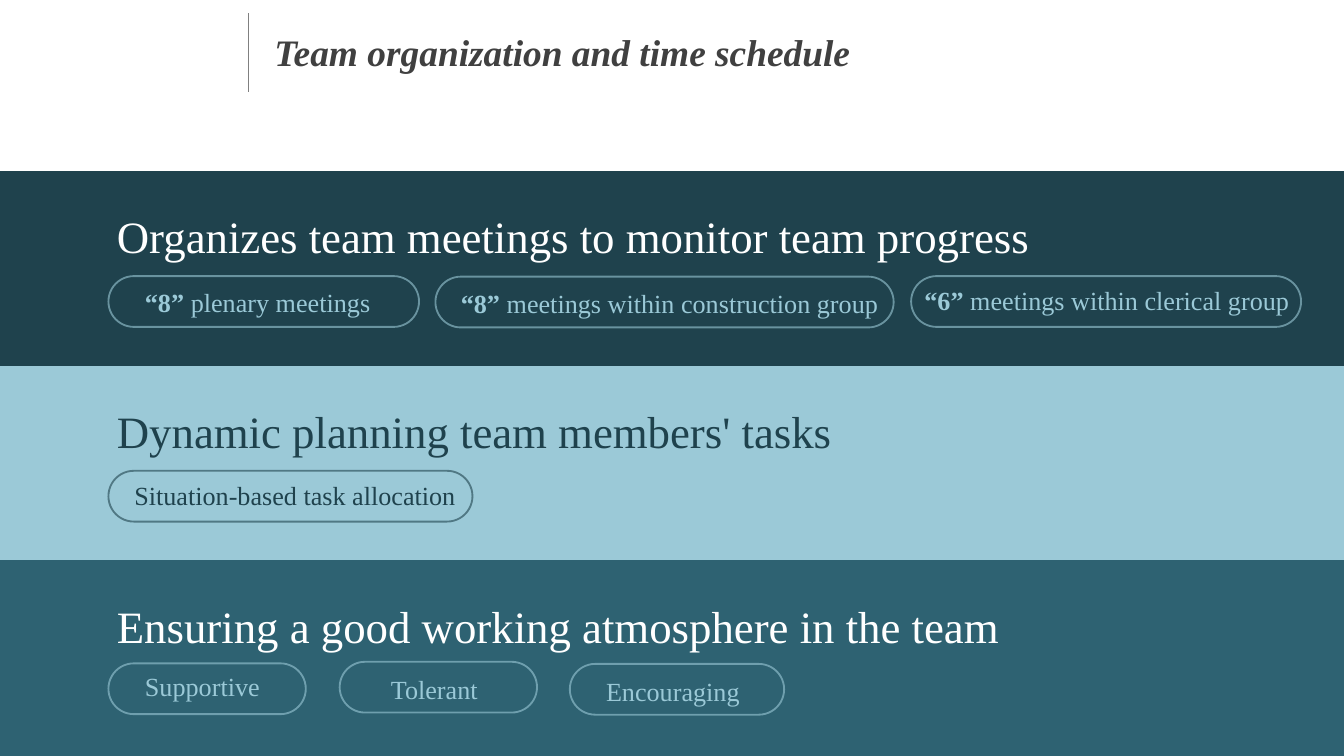
from lxml.etree import SubElement
from pptx import Presentation
from pptx.dml.color import RGBColor
from pptx.enum.shapes import MSO_CONNECTOR, MSO_SHAPE
from pptx.enum.text import MSO_ANCHOR, MSO_AUTO_SIZE, PP_ALIGN
from pptx.oxml.ns import qn
from pptx.util import Cm, Pt

COLORS = {
    "dark": "1F424D",
    "light": "9BC9D7",
    "medium": "2E6272",
    "white": "FFFFFF",
    "title": "404040",
    "rule": "808080",
}
FONT = "Times New Roman"
BAND_TOP, BAND_STEP, HEADING_OFFSET = 3.27, 3.68, 0.56
PILL_HEIGHT = 0.96

# Band fill, heading, heading colour, pill colour
BANDS = [
    ("dark", "Organizes team meetings to monitor team progress", "white", "light"),
    ("light", "Dynamic planning team members' tasks", "dark", "dark"),
    ("medium", "Ensuring a good working atmosphere in the team", "white", "light"),
]

# Pills with a separate label: band, pill left, top, width,
# label left, top, width, bold text, plain text
LABELLED_PILLS = [
    (0, 2.05, 5.22, 5.87, 2.49, 5.28, 4.95, "“8”", " plenary meetings"),
    (0, 8.23, 5.23, 8.66, 8.46, 5.3, 8.59, "“8”", " meetings within construction group"),
    (0, 17.22, 5.22, 7.37, 17.22, 5.26, 7.59, "“6”", " meetings within clerical group"),
    (1, 2.05, 8.9, 6.88, 2.29, 8.94, 6.63, "", "Situation-based task allocation"),
    (2, 2.05, 12.54, 3.73, 2.49, 12.55, 2.75, "", "Supportive"),
]

# Pills that hold their own text: left, top, width, text
CENTRED_PILLS = [
    (6.42, 12.51, 3.73, "Tolerant"),
    (10.77, 12.55, 4.05, "Encouraging"),
]


def color(name):
    return RGBColor.from_string(COLORS[name])


def set_font(paragraph, size, color_name):
    paragraph.font.name = FONT
    paragraph.font.size = Pt(size)
    paragraph.font.color.rgb = color(color_name)


def add_title(slide, text):
    title = slide.shapes.title
    title.left, title.top, title.width, title.height = Cm(4.93), Cm(0.43), Cm(11.84), Cm(1.12)
    frame = title.text_frame
    frame.text = text
    frame.auto_size = MSO_AUTO_SIZE.NONE
    frame.vertical_anchor = MSO_ANCHOR.TOP
    paragraph = frame.paragraphs[0]
    paragraph.alignment = PP_ALIGN.LEFT
    paragraph.line_spacing = 1.0
    set_font(paragraph, 20, "title")
    paragraph.font.bold = paragraph.font.italic = True


def add_rule(slide):
    rule = slide.shapes.add_connector(
        MSO_CONNECTOR.STRAIGHT, Cm(4.7), Cm(0.25), Cm(4.7), Cm(1.73))
    rule.line.color.rgb = color("rule")
    rule.line.width = Pt(0.5)
    SubElement(rule._element.spPr, qn("a:effectLst"))


def add_band(slide, top, color_name):
    band = slide.shapes.add_shape(
        MSO_SHAPE.RECTANGLE, 0, Cm(top), Cm(25.4), Cm(BAND_STEP))
    band.shadow.inherit = False
    band.fill.solid()
    band.fill.fore_color.rgb = color(color_name)
    band.line.color.rgb = color(color_name)
    band.line.width = Pt(2)


def add_text(slide, left, top, width, height, size, color_name, text, bold_text=""):
    box = slide.shapes.add_textbox(Cm(left), Cm(top), Cm(width), Cm(height))
    box.text_frame.word_wrap = True
    paragraph = box.text_frame.paragraphs[0]
    if bold_text:
        run = paragraph.add_run()
        run.text = bold_text
        run.font.bold = True
    paragraph.add_run().text = text
    set_font(paragraph, size, color_name)


def add_pill(slide, left, top, width, color_name):
    pill = slide.shapes.add_shape(
        MSO_SHAPE.ROUNDED_RECTANGLE, Cm(left), Cm(top), Cm(width), Cm(PILL_HEIGHT))
    pill.adjustments[0] = 0.5
    pill.shadow.inherit = False
    pill.fill.background()
    pill.line.color.rgb = color(color_name)
    pill.line.width = Pt(1)
    # Outline at 60% opacity
    line_color = pill.line._ln.find(".//" + qn("a:srgbClr"))
    SubElement(line_color, qn("a:alpha"), val="60000")
    return pill


def fill_pill(pill, text, color_name):
    frame = pill.text_frame
    frame.text = text
    frame.vertical_anchor = MSO_ANCHOR.MIDDLE
    frame.margin_top = Cm(0.2)
    frame.margin_right = Cm(0.4)
    paragraph = frame.paragraphs[0]
    paragraph.alignment = PP_ALIGN.CENTER
    set_font(paragraph, 14, color_name)


def main():
    presentation = Presentation()
    presentation.slide_width = Cm(25.4)
    presentation.slide_height = Cm(14.29)
    slide = presentation.slides.add_slide(presentation.slide_layouts[5])

    # Title with its vertical rule
    add_title(slide, "Team organization and time schedule")
    add_rule(slide)

    # Coloured bands with headings
    for index, (fill, heading, heading_color, _) in enumerate(BANDS):
        top = BAND_TOP + index * BAND_STEP
        add_band(slide, top, fill)
        add_text(slide, 1.96, top + HEADING_OFFSET, 20, 1.27, 24, heading_color, heading)

    # Pills and their labels
    for band, left, top, width, text_left, text_top, text_width, bold, text in LABELLED_PILLS:
        pill_color = BANDS[band][3]
        add_pill(slide, left, top, width, pill_color)
        add_text(slide, text_left, text_top, text_width, 0.86, 14, pill_color, text, bold)
    for left, top, width, text in CENTRED_PILLS:
        fill_pill(add_pill(slide, left, top, width, "light"), text, "light")

    presentation.save("out.pptx")


if __name__ == "__main__":
    main()
